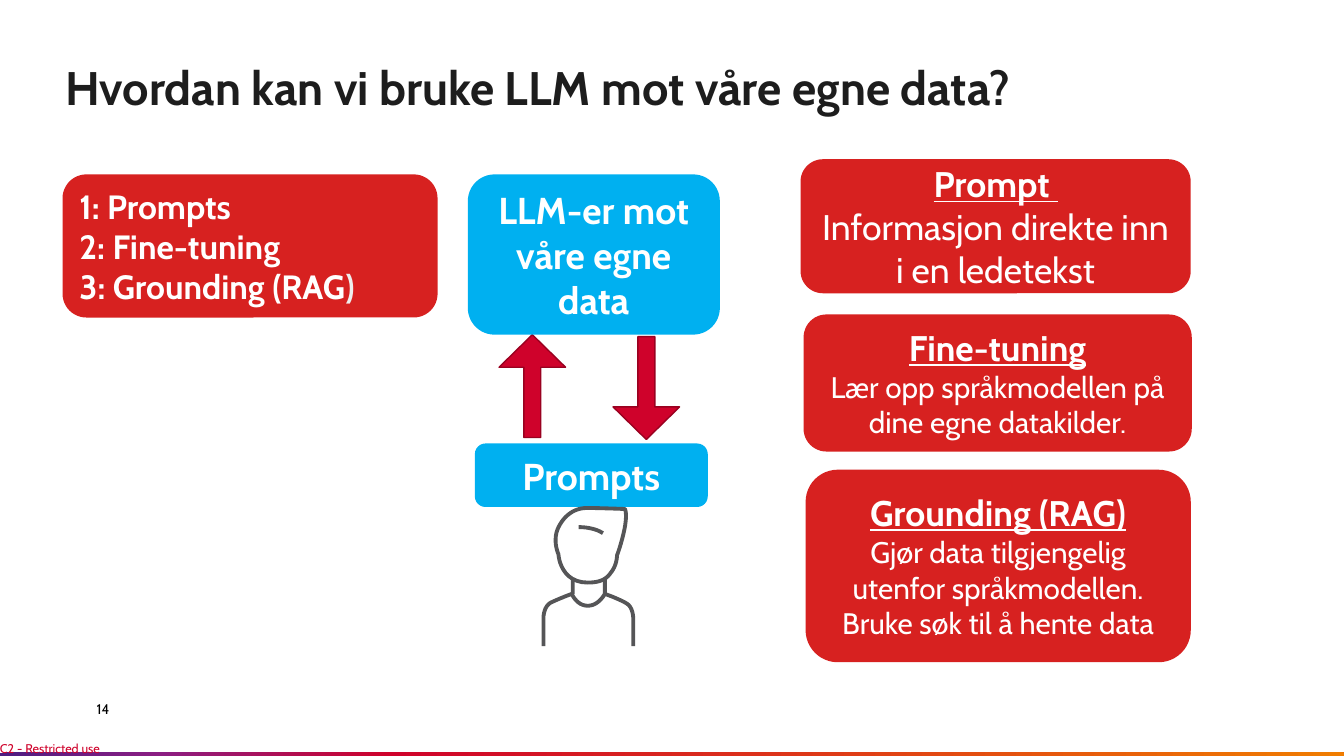
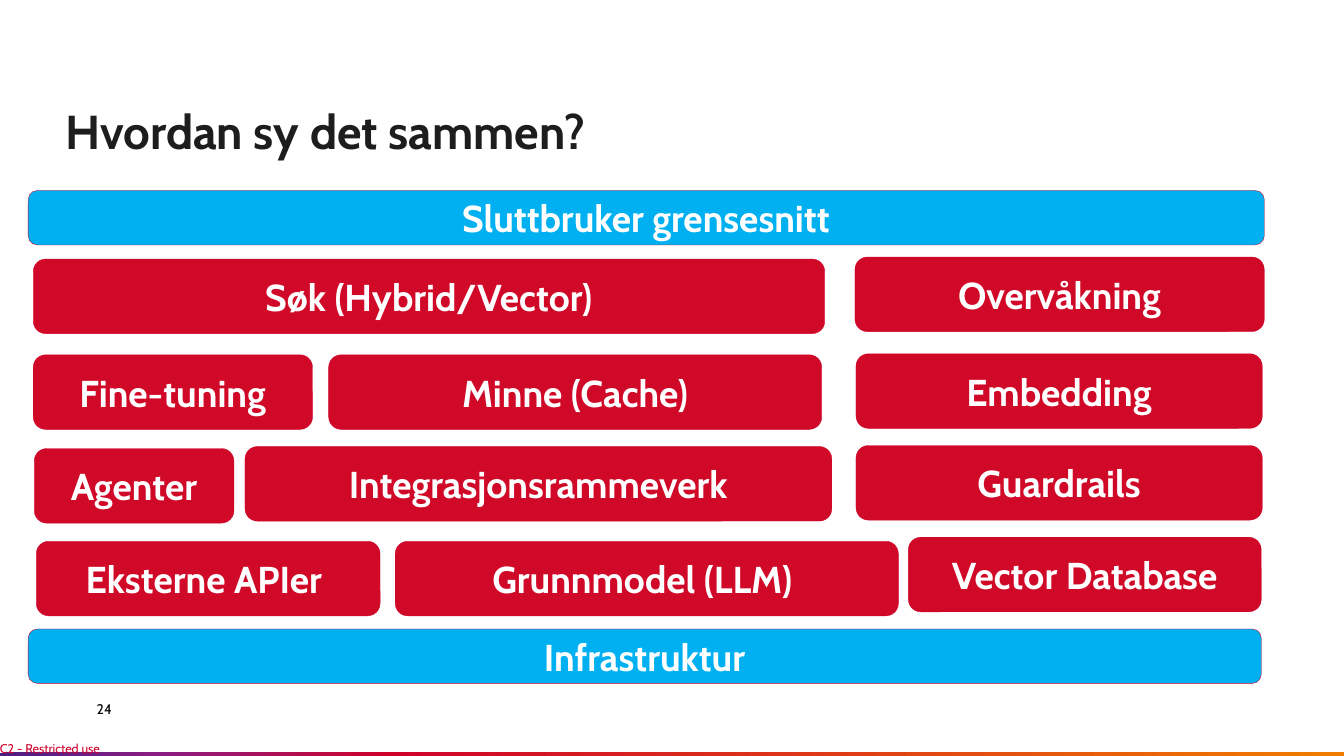
import dataclasses

import pptx
import pptx.dml.color
import pptx.enum.shapes
import pptx.enum.text
import pptx.oxml
import pptx.oxml.ns
import pptx.util

Inches = pptx.util.Inches
Pt = pptx.util.Pt
Shape = pptx.enum.shapes.MSO_SHAPE
Align = pptx.enum.text.PP_ALIGN
Anchor = pptx.enum.text.MSO_ANCHOR


@dataclasses.dataclass(frozen=True)
class Style:
    size: float
    color: str = "FFFFFF"
    bold: bool = False
    underline: bool = False


class Theme:
    font = "Cabin"
    red = "CF022B"
    card_red = "D72120"
    block_red = "D10928"
    arrow_edge = "990120"
    blue = "00B0F0"
    title_ink = "1D1D1D"
    figure = "555557"
    band = [(0, "4D1D82"), (12, "8B1D82"), (29, "CF022B"), (100, "F07D00")]
    number = Style(10, "000000")
    marking = Style(9, "CF022B")
    label = Style(26.7, bold=True)
    method = Style(24, bold=True)
    method_end = Style(24, "EEEEED", bold=True)
    heading = Style(25.4, bold=True, underline=True)
    lead = Style(25.4)
    body = Style(21.2)


MARKING = "C2 - Restricted use"

METHODS = [
    [("1: Prompts", Theme.method)],
    [("2: Fine-tuning", Theme.method)],
    [("3: Grounding (RAG", Theme.method), (")", Theme.method_end)],
]

CARDS = [
    ("Prompt ", "Informasjon direkte inn i en ledetekst", Theme.lead, (7.94, 1.58, 3.87, 1.33)),
    ("Fine-tuning", "Lær opp språkmodellen på dine egne datakilder.", Theme.body,
     (7.97, 3.12, 3.85, 1.36)),
    ("Grounding (RAG)",
     "Gjør data tilgjengelig utenfor språkmodellen. Bruke søk til å hente data",
     Theme.body, (7.99, 4.66, 3.82, 1.91)),
]

FLOW_BOXES = [
    ("LLM-er mot våre egne data", (4.64, 1.73, 2.5, 1.59)),
    ("Prompts", (4.71, 4.4, 2.31, 0.63)),
]

FLOW_ARROWS = [((4.95, 3.32, 0.66, 1.02), 0), ((6.08, 3.34, 0.66, 1.02), 180)]

PERSON_STROKES = {
    "head": [
        (5.83, 5.78),
        [(5.57, 5.78), (5.54, 5.53), (5.54, 5.5)],
        [(5.53, 5.48), (5.48, 5.35), (5.54, 5.23)],
        [(5.6, 5.11), (5.7, 5.04), (5.82, 5.04)],
        [(5.94, 5.04), (6.2, 5.05), (6.2, 5.05)],
        [(6.24, 5.16), (6.14, 5.46), (6.12, 5.51)],
        [(6.12, 5.54), (6.11, 5.62), (6.06, 5.68)],
        [(6.02, 5.74), (5.96, 5.78), (5.83, 5.78)],
    ],
    "fringe": [(5.74, 5.23), [(5.76, 5.23), (5.89, 5.23), (5.98, 5.29)]],
    "collar": [
        (5.67, 5.89),
        [(5.67, 5.89), (5.72, 6.01), (5.83, 6.01)],
        [(5.94, 6.01), (6, 5.89), (6, 5.89)],
        [(6, 5.74)],
    ],
    "left shoulder": [
        (5.39, 6.41),
        [(5.39, 6.13)],
        [(5.39, 6.13), (5.39, 6.02), (5.46, 5.98)],
        [(5.52, 5.95), (5.67, 5.89), (5.68, 5.89)],
        [(5.68, 5.74)],
    ],
    "right shoulder": [
        (5.99, 5.89),
        [(6, 5.89), (6.16, 5.95), (6.22, 5.99)],
        [(6.28, 6.03), (6.28, 6.13), (6.28, 6.13)],
        [(6.28, 6.41)],
    ],
}

LAYERS = [
    ("Sluttbruker grensesnitt", 0.28, 1.89, 12.26),
    ("Infrastruktur", 0.28, 6.24, 12.23),
]
LAYER_HEIGHT = 0.54

BLOCKS = [
    ("Søk (Hybrid/Vector)", 0.33, 2.57, 7.85),
    ("Overvåkning", 8.48, 2.55, 4.06),
    ("Fine-tuning", 0.33, 3.52, 2.77),
    ("Minne (Cache)", 3.26, 3.52, 4.89),
    ("Embedding", 8.49, 3.51, 4.03),
    ("Agenter", 0.34, 4.45, 1.98),
    ("Integrasjonsrammeverk", 2.43, 4.43, 5.82),
    ("Guardrails", 8.49, 4.42, 4.03),
    ("Eksterne APIer ", 0.36, 5.37, 3.41),
    ("Grunnmodel (LLM) ", 3.92, 5.37, 4.99),
    ("Vector Database", 9.01, 5.33, 3.5),
]
BLOCK_HEIGHT = 0.74


def rgb(color):
    return pptx.dml.color.RGBColor.from_string(color)


def box(values):
    return [Inches(value) for value in values]


def write(frame, paragraphs, align=Align.LEFT, anchor=Anchor.MIDDLE, inset=(0.1, 0.05)):
    frame.word_wrap = True
    frame.auto_size = pptx.enum.text.MSO_AUTO_SIZE.NONE
    frame.vertical_anchor = anchor
    frame.margin_left = frame.margin_right = Inches(inset[0])
    frame.margin_top = frame.margin_bottom = Inches(inset[1])
    for index, runs in enumerate(paragraphs):
        paragraph = frame.paragraphs[0] if index == 0 else frame.add_paragraph()
        paragraph.alignment = align
        for text, style in runs:
            run = paragraph.add_run()
            run.text = text
            run.font.name = Theme.font
            run.font.size = Pt(style.size)
            run.font.bold = style.bold
            run.font.underline = style.underline
            run.font.color.rgb = rgb(style.color)


def add_shape(slide, kind, place, fill, line=None, line_width=0.25):
    shape = slide.shapes.add_shape(kind, *box(place))
    shape.shadow.inherit = False
    shape.fill.solid()
    shape.fill.fore_color.rgb = rgb(fill)
    if line:
        shape.line.color.rgb = rgb(line)
        shape.line.width = Pt(line_width)
    else:
        shape.line.fill.background()
    return shape


def add_box(slide, place, fill, paragraphs, align=Align.CENTER, line=None, inset=(0.1, 0.05)):
    shape = add_shape(slide, Shape.ROUNDED_RECTANGLE, place, fill, line)
    write(shape.text_frame, paragraphs, align, inset=inset)


def add_text(slide, place, text, style, anchor):
    shape = slide.shapes.add_textbox(*box(place))
    write(shape.text_frame, [[(text, style)]], anchor=anchor, inset=(0, 0))


def add_band(slide):
    band = add_shape(slide, Shape.RECTANGLE, (0, 7.47, 13.33, 0.05), Theme.red)
    stops = "".join(
        f'<a:gs pos="{position * 1000}"><a:srgbClr val="{color}"/></a:gs>'
        for position, color in Theme.band
    )
    gradient = pptx.oxml.parse_xml(
        f'<a:gradFill {pptx.oxml.ns.nsdecls("a")}><a:gsLst>{stops}</a:gsLst>'
        '<a:lin ang="600000" scaled="0"/></a:gradFill>'
    )
    properties = band.element.spPr
    properties.replace(properties.find(pptx.oxml.ns.qn("a:solidFill")), gradient)


def add_slide(presentation, title, title_size, title_height, number):
    slide = presentation.slides.add_slide(presentation.slide_layouts[5])
    add_band(slide)
    add_text(slide, (0.96, 6.95, 1.53, 0.17), number, Theme.number, Anchor.MIDDLE)
    add_text(slide, (0, 7.35, 1.13, 0.15), MARKING, Theme.marking, Anchor.TOP)
    shape = slide.shapes.title
    shape.left, shape.top, shape.width, shape.height = box((0.55, 0.26, 12.23, title_height))
    style = Style(title_size, Theme.title_ink, bold=True)
    write(shape.text_frame, [[(title, style)]], anchor=Anchor.BOTTOM)
    shape.text_frame.paragraphs[0].line_spacing = 0.9
    return slide


def curve_points(start, controls, steps=12):
    if len(controls) == 1:
        return controls
    first, second, end = controls
    points = []
    for step in range(1, steps + 1):
        t = step / steps
        weights = ((1 - t) ** 3, 3 * t * (1 - t) ** 2, 3 * t * t * (1 - t), t ** 3)
        corners = (start, first, second, end)
        points.append(tuple(
            sum(weight * corner[axis] for weight, corner in zip(weights, corners))
            for axis in (0, 1)
        ))
    return points


def add_stroke(slide, start, segments):
    points = [start]
    for controls in segments:
        points += curve_points(points[-1], controls)
    outline = [tuple(box(point)) for point in points]
    builder = slide.shapes.build_freeform(*outline[0], scale=1.0)
    builder.add_line_segments(outline[1:], close=outline[0] == outline[-1])
    shape = builder.convert_to_shape()
    shape.shadow.inherit = False
    shape.fill.background()
    shape.line.color.rgb = rgb(Theme.figure)
    shape.line.width = Pt(2.75)


def build_methods_slide(presentation):
    slide = add_slide(presentation, "Hvordan kan vi bruke LLM mot våre egne data?", 33.6, 0.94, "14")
    for place, rotation in FLOW_ARROWS:
        arrow = add_shape(slide, Shape.UP_ARROW, place, Theme.red, Theme.arrow_edge, 1)
        arrow.adjustments[0] = 0.255
        arrow.adjustments[1] = 0.49
        arrow.rotation = rotation
    for text, place in FLOW_BOXES:
        add_box(slide, place, Theme.blue, [[(text, Theme.label)]])
    add_box(slide, (0.62, 1.73, 3.72, 1.42), Theme.card_red, METHODS, Align.LEFT)
    for heading, body, style, place in CARDS:
        add_box(slide, place, Theme.card_red, [[(heading, Theme.heading)], [(body, style)]])
    for start, *segments in PERSON_STROKES.values():
        add_stroke(slide, start, segments)


def build_stack_slide(presentation):
    slide = add_slide(presentation, "Hvordan sy det sammen?", 34, 1.38, "24")
    groups = [(BLOCKS, BLOCK_HEIGHT, Theme.block_red), (LAYERS, LAYER_HEIGHT, Theme.blue)]
    for items, height, fill in groups:
        for text, left, top, width in items:
            add_box(slide, (left, top, width, height), fill, [[(text, Theme.label)]],
                    line=Theme.red, inset=(0.13, 0.06))


def main():
    presentation = pptx.Presentation()
    presentation.slide_width = Inches(13.33)
    presentation.slide_height = Inches(7.5)
    build_methods_slide(presentation)
    build_stack_slide(presentation)
    presentation.save("out.pptx")


if __name__ == "__main__":
    main()
